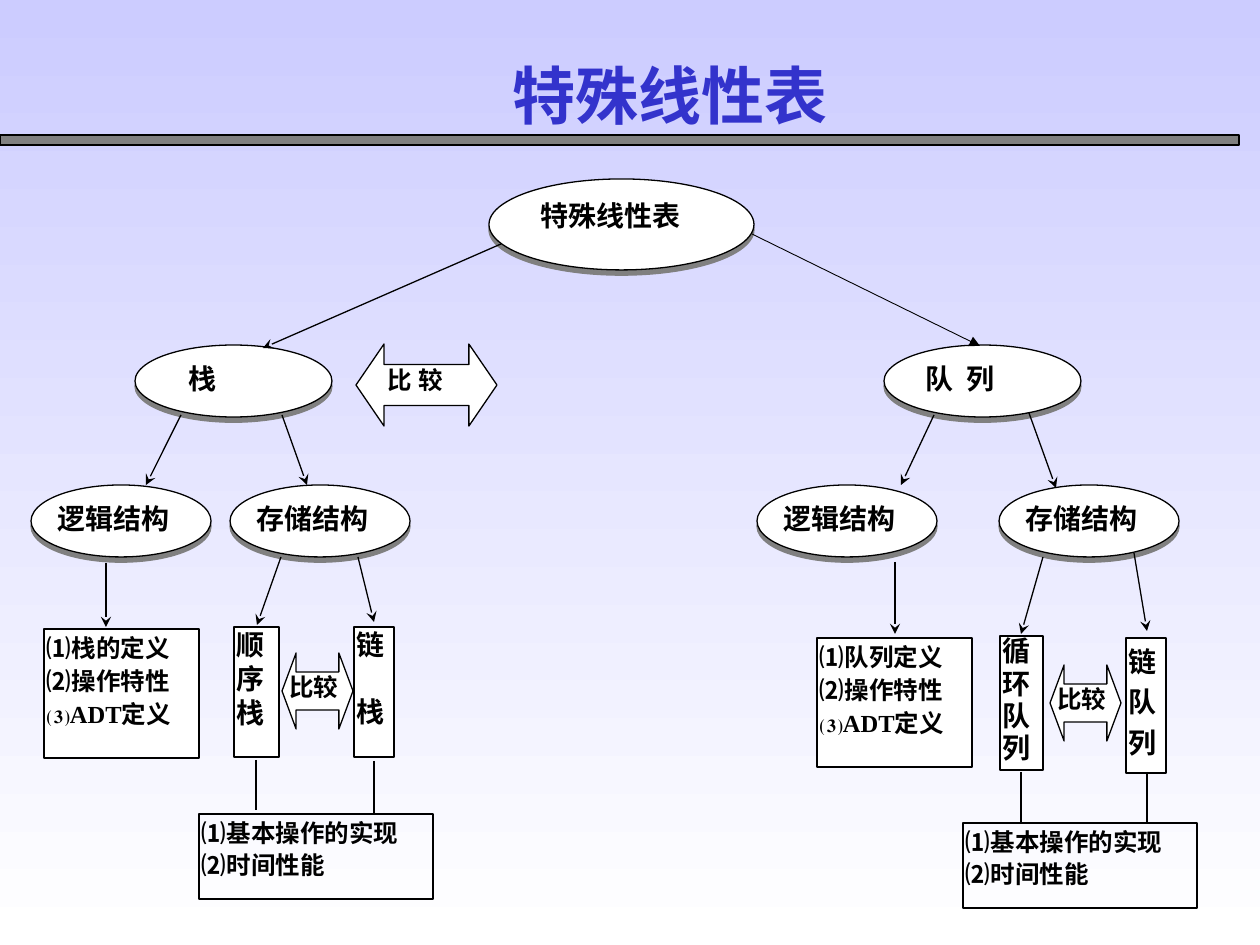
from dataclasses import dataclass

from lxml import etree
from pptx import Presentation
from pptx import util as u
from pptx.dml.color import RGBColor
from pptx.enum import shapes, text
from pptx.oxml.ns import qn

PX = 914400 / 126
FONT = "Times New Roman"
BLACK = RGBColor(0x00, 0x00, 0x00)
WHITE = RGBColor(0xFF, 0xFF, 0xFF)
GRAY = RGBColor(0x80, 0x80, 0x80)
LAVENDER = RGBColor(0xCC, 0xCC, 0xFF)
BLUE = RGBColor(0x33, 0x33, 0xCC)
RECTANGLE = shapes.MSO_SHAPE.RECTANGLE
OVAL = shapes.MSO_SHAPE.OVAL
DOUBLE_ARROW = shapes.MSO_SHAPE.LEFT_RIGHT_ARROW


@dataclass
class Node:
    left: int
    top: int
    width: int
    height: int
    lines: tuple[str, ...]
    size: int = 16
    inset: tuple[int, int] = (3, 1)
    spacing: float = 1.0
    gap: int = 0
    fill: RGBColor | None = WHITE
    kind: shapes.MSO_SHAPE = RECTANGLE
    head: float = 0.0


@dataclass
class Link:
    start: tuple[int, int]
    end: tuple[int, int]
    tip: str | None = "stealth"
    weight: float = 0.75


def px(value: int) -> int:
    return round(value * PX)


def oval(left: int, top: int, width: int, height: int, label: str, inset: int = 0) -> Node:
    return Node(left, top, width, height, (label,), inset=(inset, 6), kind=OVAL)


def comparison(left: int, top: int, width: int, height: int, label: str, inset: int, head: float) -> Node:
    return Node(left, top, width, height, (label,), 14, (inset, 0), kind=DOUBLE_ARROW, head=head)


def definitions(left: int, top: int, subject: str) -> Node:
    lines = (f"⑴{subject}定义", "⑵操作特性", "⑶ADT定义")
    return Node(left, top, 155, 129, lines, 14, spacing=1.12)


def operations(left: int, top: int) -> Node:
    lines = ("⑴基本操作的实现", "⑵时间性能")
    return Node(left, top, 234, 85, lines, 14, (3, 0), 1.12, fill=None)


NODES = (
    oval(489, 179, 265, 91, "特殊线性表", 13),
    oval(135, 345, 197, 72, "栈", 25),
    oval(884, 345, 197, 72, "队  列", 13),
    *(oval(left, 485, 180, 72, label)
      for left, label in ((31, "逻辑结构"), (230, "存储结构"), (757, "逻辑结构"), (999, "存储结构"))),
    definitions(44, 629, "栈的"),
    definitions(817, 638, "队列"),
    Node(234, 627, 45, 130, ("顺序栈",)),
    Node(354, 627, 40, 130, ("链", "栈"), gap=19),
    Node(1000, 636, 43, 134, ("循环队列",), inset=(3, 0), spacing=0.96),
    Node(1126, 638, 40, 135, ("链队列",), inset=(3, 0), spacing=1.2),
    comparison(356, 344, 141, 82, "比 较", 18, 0.342),
    comparison(282, 653, 71, 76, "比较", 0, 0.199),
    comparison(1050, 665, 71, 76, "比较", 0, 0.199),
    operations(199, 814),
    operations(963, 823),
)

LINKS = (
    Link((501, 244), (263, 348)),
    Link((752, 234), (980, 346), "triangle", 0.5),
    Link((181, 415), (146, 485)),
    Link((282, 415), (307, 485)),
    Link((934, 415), (901, 485)),
    Link((1029, 413), (1056, 488)),
    Link((106, 563), (106, 627)),
    Link((895, 562), (895, 634)),
    Link((281, 557), (257, 625)),
    Link((358, 557), (374, 622)),
    Link((1043, 557), (1021, 634)),
    Link((1134, 553), (1147, 631)),
    Link((256, 760), (256, 810), None),
    Link((374, 761), (374, 813), None),
    Link((1021, 772), (1021, 823), None),
    Link((1147, 772), (1147, 823), None),
)


def add_shadow(properties, distance: float, direction: int) -> None:
    for effects in properties.findall(qn("a:effectLst")):
        properties.remove(effects)
    effects = etree.Element(qn("a:effectLst"))
    shadow = etree.SubElement(effects, qn("a:outerShdw"), dist=str(u.Pt(distance)),
                              dir=str(direction * 60000), algn="ctr", rotWithShape="0")
    etree.SubElement(shadow, qn("a:srgbClr"), val=str(GRAY))
    fill = properties.find(qn("a:solidFill"))
    if fill is not None and properties.tag == qn("a:rPr"):
        fill.addnext(effects)
    else:
        properties.append(effects)


def write(frame, lines: tuple[str, ...], size: int, color: RGBColor,
          alignment: text.PP_ALIGN, spacing: float = 1.0, gap: int = 0) -> None:
    frame.word_wrap = True
    frame.vertical_anchor = text.MSO_ANCHOR.TOP
    for index, line in enumerate(lines):
        paragraph = frame.add_paragraph() if index else frame.paragraphs[0]
        paragraph.text = line
        paragraph.alignment = alignment
        paragraph.line_spacing = spacing
        if index and gap:
            paragraph.space_before = u.Pt(gap)
        font = paragraph.font
        font.name, font.size, font.bold = FONT, u.Pt(size), True
        font.color.rgb = color


def add_outline(slide, kind: shapes.MSO_SHAPE, box: tuple[int, ...], fill: RGBColor | None):
    shape = slide.shapes.add_shape(kind, *map(px, box))
    shape.shadow.inherit = False
    if fill is None:
        shape.fill.background()
    else:
        shape.fill.solid()
        shape.fill.fore_color.rgb = fill
    shape.line.color.rgb = BLACK
    shape.line.width = u.Pt(0.75)
    return shape


def add_node(slide, node: Node) -> None:
    shape = add_outline(slide, node.kind, (node.left, node.top, node.width, node.height), node.fill)
    if node.kind == OVAL:
        add_shadow(shape._element.spPr, 3, 90)
    if node.head:
        shape.adjustments[0], shape.adjustments[1] = 0.5, node.head
    frame = shape.text_frame
    side, edge = map(px, node.inset)
    frame.margin_left, frame.margin_right = side, min(side, px(13))
    frame.margin_top = frame.margin_bottom = edge
    write(frame, node.lines, node.size, BLACK, text.PP_ALIGN.JUSTIFY, node.spacing, node.gap)


def add_link(slide, link: Link) -> None:
    connector = slide.shapes.add_connector(shapes.MSO_CONNECTOR.STRAIGHT,
                                           *map(px, link.start + link.end))
    connector.line.color.rgb = BLACK
    connector.line.width = u.Pt(link.weight)
    if link.tip:
        etree.SubElement(connector.line._get_or_add_ln(), qn("a:tailEnd"), type=link.tip)
    etree.SubElement(connector._element.spPr, qn("a:effectLst"))


def add_title(slide) -> None:
    box = slide.shapes.add_textbox(*map(px, (369, 50, 601, 88)))
    write(box.text_frame, ("特殊线性表",), 36, BLUE, text.PP_ALIGN.CENTER)
    run = box.text_frame.paragraphs[0].runs[0]
    add_shadow(run._r.get_or_add_rPr(), 2, 45)


def main() -> None:
    presentation = Presentation()
    presentation.slide_width, presentation.slide_height = px(1260), px(945)
    slide = presentation.slides.add_slide(presentation.slide_layouts[6])
    background = slide.background.fill
    background.gradient()
    background.gradient_angle = 270
    for stop, color, position in zip(background.gradient_stops, (LAVENDER, WHITE), (0, 1)):
        stop.color.rgb = color
        stop.position = position
    add_outline(slide, RECTANGLE, (0, 135, 1239, 10), GRAY)
    for node in NODES:
        add_node(slide, node)
    for link in LINKS:
        add_link(slide, link)
    add_title(slide)
    presentation.save("out.pptx")


if __name__ == "__main__":
    main()
